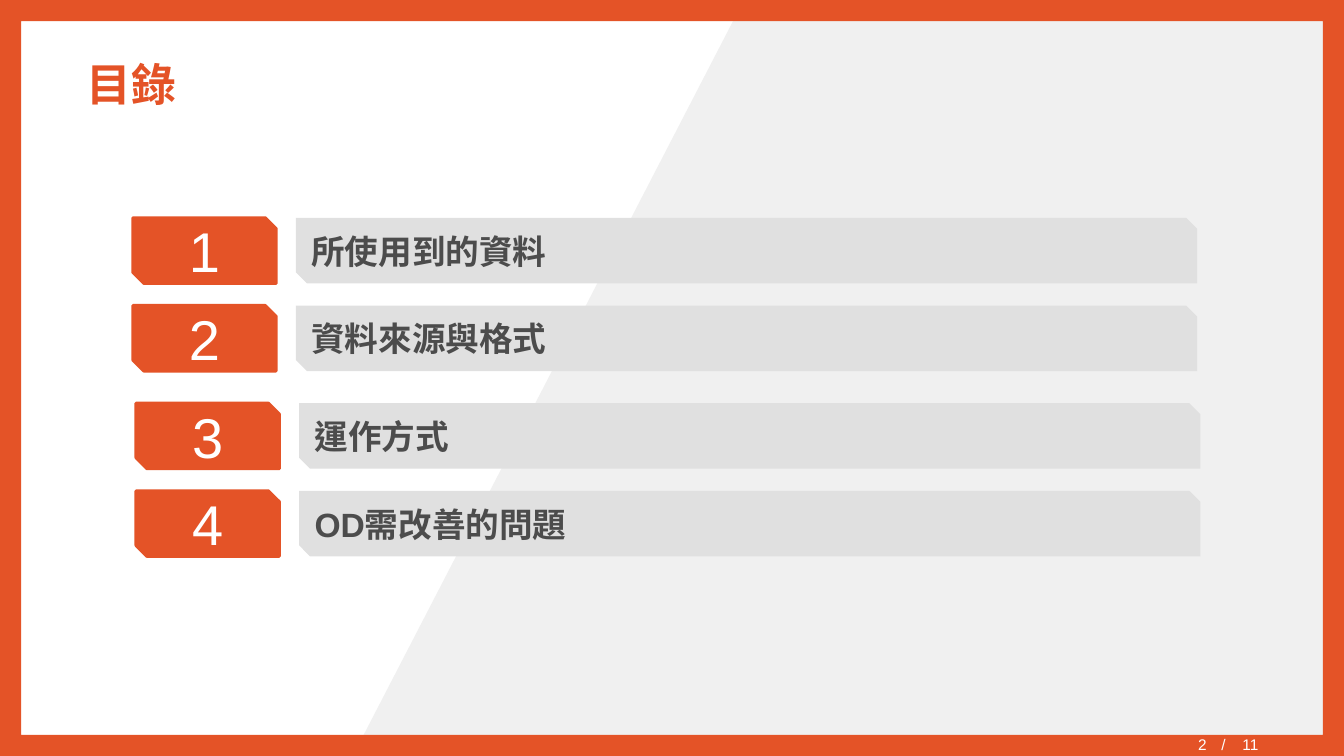
from dataclasses import dataclass

from lxml.etree import SubElement
from pptx import Presentation
from pptx.dml.color import RGBColor
from pptx.enum.lang import MSO_LANGUAGE_ID
from pptx.enum.shapes import MSO_SHAPE
from pptx.enum.text import MSO_ANCHOR, MSO_AUTO_SIZE, PP_ALIGN
from pptx.oxml.ns import qn
from pptx.util import Cm, Pt


@dataclass(frozen=True)
class Theme:
    font: str = "Arial"
    accent: str = "E45327"
    panel: str = "F0F0F0"
    bar: str = "E0E0E0"
    ink: str = "4C4C4C"
    white: str = "FFFFFF"
    title: int = 32
    number: int = 40
    entry: int = 24
    footer: int = 11


THEME = Theme()
WIDTH, HEIGHT = 33.87, 19.05
# Each group: left, top, and its numbered entries
GROUPS = [
    (3.35, 5.49, [("1", "所使用到的資料"), ("2", "資料來源與格式")]),
    (3.43, 10.16, [("3", "運作方式"), ("4", "OD需改善的問題")]),
]
ROW_PITCH = 2.21


def write(sp, text, *, size, color, bold=False, align=PP_ALIGN.LEFT, tab=None):
    tf = sp.text_frame
    tf.word_wrap = True
    tf.auto_size = MSO_AUTO_SIZE.NONE
    tf.vertical_anchor = MSO_ANCHOR.MIDDLE
    p = tf.paragraphs[0]
    p.alignment = align
    if tab is not None:
        tabs = SubElement(p._p.get_or_add_pPr(), qn("a:tabLst"))
        SubElement(tabs, qn("a:tab"), pos=str(Cm(tab)), algn="l")
    r = p.add_run()
    r.text = text
    r.font.name = THEME.font
    r.font.size = Pt(size)
    r.font.bold = bold
    r.font.color.rgb = RGBColor.from_string(color)
    r.font.language_id = MSO_LANGUAGE_ID.TRADITIONAL_CHINESE
    return tf


def paint(sp, fill, line_width=None):
    sp.shadow.inherit = False
    sp.fill.solid()
    sp.fill.fore_color.rgb = RGBColor.from_string(fill)
    if line_width is None:
        sp.line.fill.background()
    else:
        sp.line.color.rgb = RGBColor.from_string(fill)
        sp.line.width = Pt(line_width)


def add_preset(s, kind, box, fill, line_width=None):
    sp = s.shapes.add_shape(kind, *map(Cm, box))
    paint(sp, fill, line_width)
    return sp


def add_backdrop(s, box):
    x, y, w, h = box
    # Slanted panel
    outline = s.shapes.build_freeform(Cm(x + 18.75), Cm(y))
    corners = [(x + w, y), (x + w, y + h), (x + 8.89, y + h)]
    outline.add_line_segments([(Cm(px), Cm(py)) for px, py in corners])
    paint(outline.convert_to_shape(), THEME.panel)
    # Border
    frame = add_preset(s, MSO_SHAPE.FRAME, box, THEME.accent)
    frame.adjustments[0] = 0.028


def add_title(s, box, text):
    sp = s.shapes.title
    sp.left, sp.top, sp.width, sp.height = map(Cm, box)
    s.shapes._spTree.append(sp._element)  # bring in front of the backdrop
    write(sp, text, size=THEME.title, color=THEME.accent, bold=True)


def add_entry(s, box, number, text):
    x, y, w, h = box
    badge_w, bar_offset = 3.61, 4.11
    badge = add_preset(s, MSO_SHAPE.SNIP_2_DIAG_RECTANGLE, (x, y, badge_w, h),
                       THEME.accent, 2.25)
    write(badge, number, size=THEME.number, color=THEME.white, align=PP_ALIGN.CENTER)
    bar = add_preset(s, MSO_SHAPE.SNIP_2_DIAG_RECTANGLE,
                     (x + bar_offset, y, w - bar_offset, h), THEME.bar)
    write(bar, text, size=THEME.entry, color=THEME.ink, bold=True)


def add_page_number(s, box, page, total):
    x, y, w, h = box
    split = 6.45
    # Total, after the slash
    sp = s.shapes.add_textbox(Cm(x + split), Cm(y), Cm(w - split), Cm(h))
    write(sp, f"/\t{total}", size=THEME.footer, color=THEME.white, tab=0.53)
    # Current page
    sp = s.shapes.add_textbox(Cm(x), Cm(y + 0.05), Cm(6.58), Cm(h))
    tf = write(sp, page, size=THEME.footer, color=THEME.white, align=PP_ALIGN.RIGHT)
    tf.margin_top = 0


def add_contents_slide(prs):
    s = prs.slides.add_slide(prs.slide_layouts[5])
    add_backdrop(s, (0, 0, WIDTH, HEIGHT))
    add_title(s, (1.93, 1.09, 30.94, 2.01), "目錄")
    for left, top, entries in GROUPS:
        for row, (number, text) in enumerate(entries):
            add_entry(s, (left, top + row * ROW_PITCH, 26.82, 1.65), number, text)
    add_page_number(s, (24.08, 18.54, 9.79, 0.46), "2", "11")


def main():
    prs = Presentation()
    prs.slide_width, prs.slide_height = Cm(WIDTH), Cm(HEIGHT)
    add_contents_slide(prs)
    prs.save("out.pptx")


if __name__ == "__main__":
    main()
